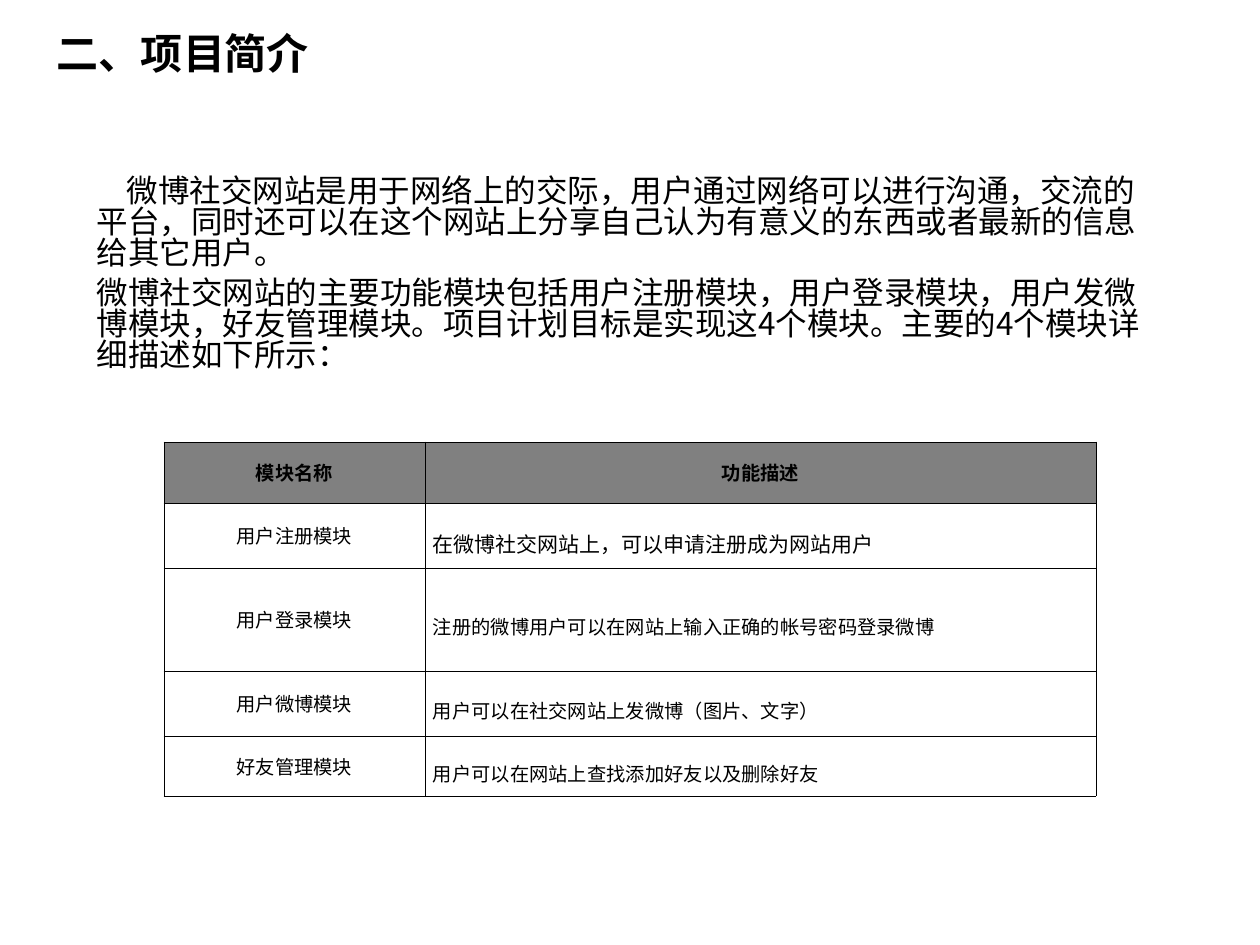
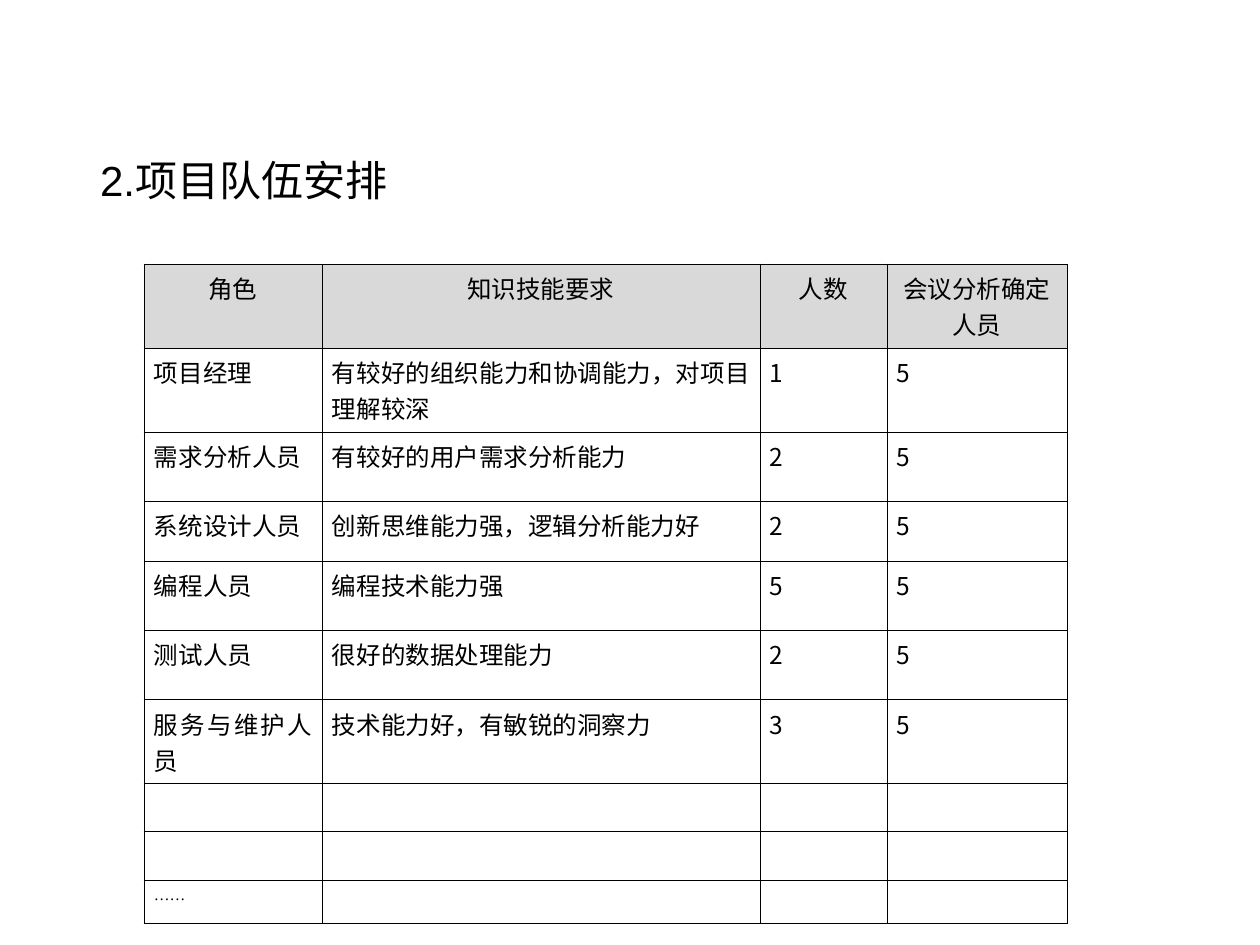
from dataclasses import dataclass, field
from typing import Optional

from lxml import etree
from pptx import Presentation
from pptx import util as u
from pptx.dml.color import RGBColor
from pptx.enum import text
from pptx.oxml import ns

HUES = {"ink": "000000", "dark": "808080", "pale": "D9D9D9"}
SANS, SERIF, HAN = "Arial", "Times New Roman", "Noto Sans CJK SC"
LEFT, MID, JUST = text.PP_ALIGN.LEFT, text.PP_ALIGN.CENTER, text.PP_ALIGN.JUSTIFY


@dataclass(frozen=True)
class Box:
    left: int
    top: int
    width: int
    height: int


@dataclass(frozen=True)
class Style:
    size: int
    face: str
    bold: bool = False
    align: int = LEFT
    lead: float = 1.0


@dataclass(frozen=True)
class Grid:
    left: int
    top: int
    cols: list[int]
    rows: list[int]
    data: list[tuple[str, ...]]
    fill: str
    head: Style
    body: list[Style]
    pad: int
    anchor: int
    sizes: dict[tuple[int, int], int] = field(default_factory=dict)


def px(n: int) -> u.Emu:
    return u.Emu(round(n * 914400 / 126))


def hue(name: str) -> RGBColor:
    return RGBColor.from_string(HUES[name])


def write(para, words: str, style: Style, size: Optional[int] = None) -> None:
    para.alignment = style.align
    para.line_spacing = style.lead
    size = size or style.size
    if not words:
        etree.SubElement(para._p, ns.qn("a:endParaRPr"), sz=str(size * 100))
        return
    run = para.add_run()
    run.text = words
    run.font.size = u.Pt(size)
    run.font.bold = style.bold
    run.font.color.rgb = hue("ink")
    run.font.name = style.face
    etree.SubElement(run._r.get_or_add_rPr(), ns.qn("a:ea"), typeface=HAN)


def place(shape, box: Box, inset: int):
    shape.left, shape.top = px(box.left), px(box.top)
    shape.width, shape.height = px(box.width), px(box.height)
    frame = shape.text_frame
    frame.word_wrap = True
    frame.auto_size = text.MSO_AUTO_SIZE.NONE
    frame.vertical_anchor = text.MSO_ANCHOR.TOP
    frame.margin_left = frame.margin_right = px(13)
    frame.margin_top, frame.margin_bottom = px(inset), px(6)
    return frame


def title(slide, words: str, box: Box, bold: bool) -> None:
    frame = place(slide.shapes.title, box, 2)
    write(frame.paragraphs[0], words, Style(24, SANS, bold))


def prose(slide, paras: list[tuple[str, int]], box: Box) -> None:
    frame = place(slide.placeholders[1], box, 12)
    for i, (words, indent) in enumerate(paras):
        para = frame.add_paragraph() if i else frame.paragraphs[0]
        props = para._p.get_or_add_pPr()
        props.set("marL", "0")
        props.set("indent", str(px(indent)))
        etree.SubElement(props, ns.qn("a:buNone"))
        para.space_before = u.Pt(4.5 if i else 0)
        write(para, words, Style(18, HAN, lead=0.83))


def border(cell) -> None:
    props = cell._tc.get_or_add_tcPr()
    for side in "LRTB":
        line = etree.SubElement(props, ns.qn(f"a:ln{side}"), w=str(u.Pt(0.45)))
        fill = etree.SubElement(line, ns.qn("a:solidFill"))
        etree.SubElement(fill, ns.qn("a:srgbClr"), val=HUES["ink"])


def draw(slide, grid: Grid) -> None:
    table = slide.shapes.add_table(
        len(grid.rows), len(grid.cols), px(grid.left), px(grid.top),
        px(sum(grid.cols)), px(sum(grid.rows))).table
    table.first_row = table.horz_banding = False
    for col, width in zip(table.columns, grid.cols):
        col.width = px(width)
    for r, (height, words) in enumerate(zip(grid.rows, grid.data)):
        table.rows[r].height = px(height)
        for c, word in enumerate(words):
            cell = table.cell(r, c)
            cell.margin_left = cell.margin_right = px(grid.pad)
            cell.margin_top = cell.margin_bottom = px(6)
            cell.vertical_anchor = grid.anchor
            border(cell)
            if r:
                cell.fill.background()
            else:
                cell.fill.solid()
                cell.fill.fore_color.rgb = hue(grid.fill)
            style = grid.body[c] if r else grid.head
            write(cell.text_frame.paragraphs[0], word, style, grid.sizes.get((r, c)))


INTRO = [
    ("微博社交网站是用于网络上的交际，用户通过网络可以进行沟通，交流的平台，"
     "同时还可以在这个网站上分享自己认为有意义的东西或者最新的信息给其它用户。", 30),
    ("微博社交网站的主要功能模块包括用户注册模块，用户登录模块，用户发微博模块，"
     "好友管理模块。项目计划目标是实现这4个模块。主要的4个模块详细描述如下所示：", 0),
]

PARTS = Grid(
    164, 442, [261, 671], [61, 65, 103, 65, 60],
    [
        ("模块名称", "功能描述"),
        ("用户注册模块", "在微博社交网站上，可以申请注册成为网站用户"),
        ("用户登录模块", "注册的微博用户可以在网站上输入正确的帐号密码登录微博"),
        ("用户微博模块", "用户可以在社交网站上发微博（图片、文字）"),
        ("好友管理模块", "用户可以在网站上查找添加好友以及删除好友"),
    ],
    "dark", Style(11, SERIF, True, MID),
    [Style(11, SERIF, align=MID), Style(11, SERIF, align=JUST, lead=1.5)],
    8, text.MSO_ANCHOR.MIDDLE, {(1, 1): 12})

WORDS = Style(14, SERIF, align=JUST)
COUNT = Style(14, HAN, align=JUST)
BLANK = ("",) * 4

TEAM = Grid(
    144, 264, [178, 438, 127, 180], [84, 84, 69, 60, 69, 70, 84, 48, 49, 43],
    [
        ("角色", "知识技能要求", "人数", "会议分析确定人员"),
        ("项目经理", "有较好的组织能力和协调能力，对项目理解较深", "1", "5"),
        ("需求分析人员", "有较好的用户需求分析能力", "2", "5"),
        ("系统设计人员", "创新思维能力强，逻辑分析能力好", "2", "5"),
        ("编程人员", "编程技术能力强", "5", "5"),
        ("测试人员", "很好的数据处理能力", "2", "5"),
        ("服务与维护人员", "技术能力好，有敏锐的洞察力", "3", "5"),
        BLANK,
        BLANK,
        ("……", "", "", ""),
    ],
    "pale", Style(14, SERIF, align=MID), [WORDS, WORDS, COUNT, COUNT],
    10, text.MSO_ANCHOR.TOP, {(9, c): 9 for c in range(4)})


def main() -> None:
    deck = Presentation()
    deck.slide_width, deck.slide_height = px(1260), px(945)

    brief = deck.slides.add_slide(deck.slide_layouts[1])
    title(brief, "二、项目简介", Box(44, 26, 541, 115), True)
    prose(brief, INTRO, Box(84, 165, 1086, 687))
    draw(brief, PARTS)

    crew = deck.slides.add_slide(deck.slide_layouts[5])
    title(crew, "2.项目队伍安排", Box(87, 153, 1087, 80), False)
    draw(crew, TEAM)

    deck.save("out.pptx")


if __name__ == "__main__":
    main()
